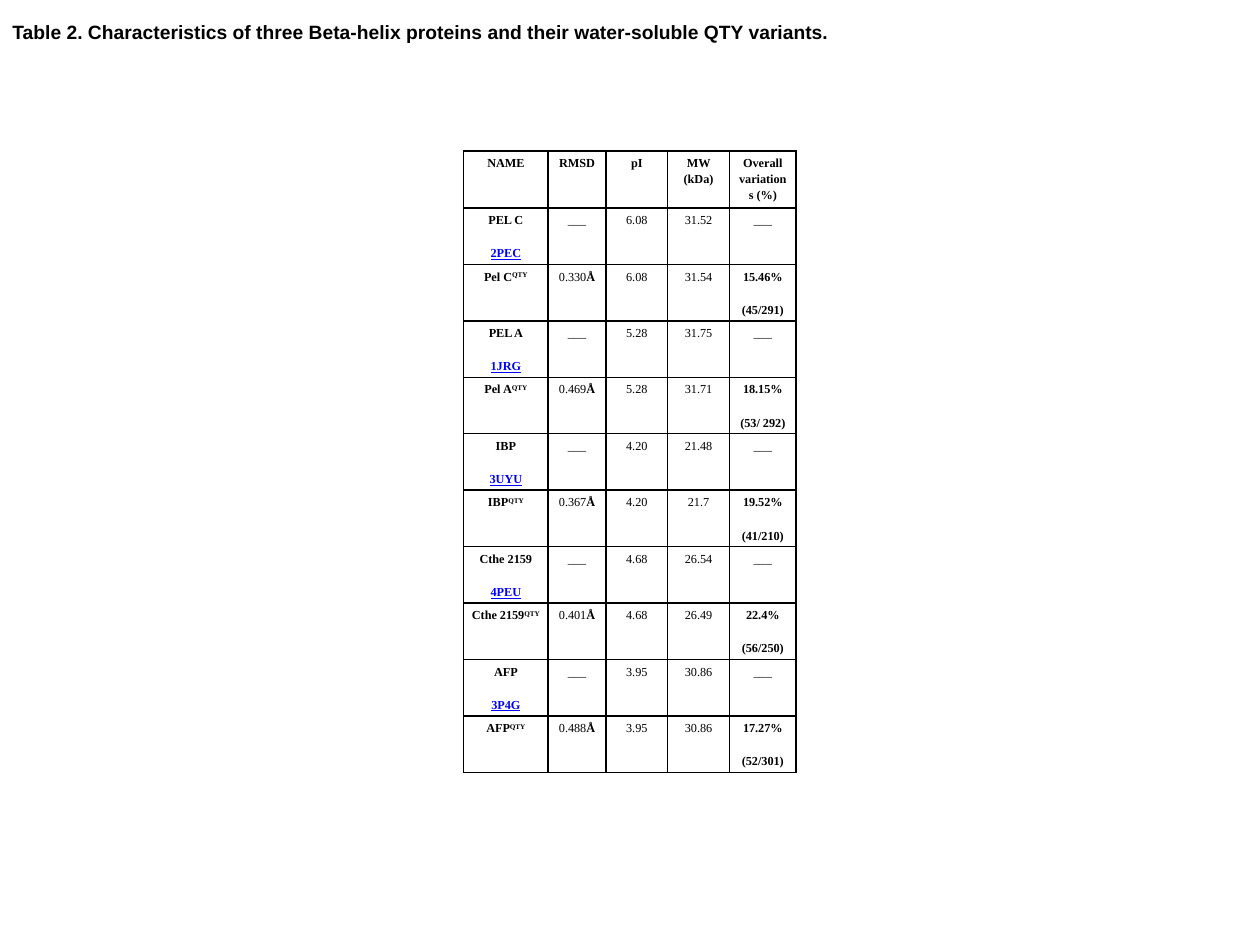
import pptx
import pptx.dml.color
import pptx.enum.text
import pptx.oxml
import pptx.oxml.ns
import pptx.util
from pptx.util import Inches, Pt

BLACK = pptx.dml.color.RGBColor(0x00, 0x00, 0x00)
WHITE = pptx.dml.color.RGBColor(0xFF, 0xFF, 0xFF)
LINK_BLUE = pptx.dml.color.RGBColor(0x00, 0x00, 0xFF)

TITLE = "Table 2. Characteristics of three Beta-helix proteins and their water-soluble QTY variants."
HEADINGS = ["NAME", "RMSD", "pI", "MW (kDa)", "Overall variations (%)"]
COLUMN_WIDTHS = [0.67, 0.46, 0.49, 0.49, 0.53]
HEADER_HEIGHT = 0.45
ROW_HEIGHT = 0.4
NO_VALUE = "___"

# Native name, code, variant name, pI, native MW, variant MW, RMSD, variation, changed residues
PROTEINS = [
    ("PEL C", "2PEC", "Pel C", "6.08", "31.52", "31.54", "0.330", "15.46%", "(45/291)"),
    ("PEL A", "1JRG", "Pel A", "5.28", "31.75", "31.71", "0.469", "18.15%", "(53/ 292)"),
    ("IBP", "3UYU", "IBP", "4.20", "21.48", "21.7", "0.367", "19.52%", "(41/210)"),
    ("Cthe 2159", "4PEU", "Cthe 2159", "4.68", "26.54", "26.49", "0.401", "22.4%", "(56/250)"),
    ("AFP", "3P4G", "AFP", "3.95", "30.86", "30.86", "0.488", "17.27%", "(52/301)"),
]


def set_font(para, name, size, bold):
    """Set the font shared by all runs of a paragraph."""
    para.font.name = name
    para.font.size = Pt(size)
    para.font.bold = bold
    para.font.color.rgb = BLACK


def add_title(slide):
    """Add the table caption across the top of the slide."""
    box = slide.shapes.add_textbox(0, 0, Inches(10), Inches(0.5))
    frame = box.text_frame
    frame.word_wrap = True
    frame.vertical_anchor = pptx.enum.text.MSO_ANCHOR.MIDDLE
    para = frame.paragraphs[0]
    para.text = TITLE
    set_font(para, "Arial", 11, True)


def add_border(cell):
    """Draw a thin black line on all four sides of a cell."""
    properties = cell._tc.get_or_add_tcPr()
    for index, side in enumerate(("lnL", "lnR", "lnT", "lnB")):
        line = pptx.oxml.parse_xml(
            f'<a:{side} {pptx.oxml.ns.nsdecls("a")} w="{Pt(1)}">'
            f'<a:solidFill><a:srgbClr val="{BLACK}"/></a:solidFill></a:{side}>'
        )
        properties.insert(index, line)


def add_paragraph(para, spans, bold):
    """Write (text, style) spans into a centred table paragraph."""
    para.alignment = pptx.enum.text.PP_ALIGN.CENTER
    para.line_spacing = 1.15
    para.space_after = Pt(10)
    set_font(para, "Times New Roman", 7, bold)
    for text, style in spans:
        span = para.add_run()
        span.text = text
        if style == "link":
            span.font.color.rgb = LINK_BLUE
            span.font.underline = True
        elif style == "superscript":
            span._r.get_or_add_rPr().set("baseline", "30000")
        elif style == "bold":
            span.font.bold = True


def fill_cell(cell, paragraphs, bold):
    """Fill a cell with paragraphs, each a list of spans."""
    cell.margin_left = cell.margin_right = Inches(0.06)
    cell.margin_top = cell.margin_bottom = Inches(0.03)
    cell.fill.solid()
    cell.fill.fore_color.rgb = WHITE
    add_border(cell)
    frame = cell.text_frame
    for index, spans in enumerate(paragraphs):
        para = frame.add_paragraph() if index else frame.paragraphs[0]
        add_paragraph(para, spans, bold)


def plain(*lines, bold=False):
    """Return the content of a cell whose lines have no special spans."""
    return [[(line, None)] for line in lines], bold


def protein_rows(native, code, variant, point, native_mass, variant_mass, rmsd, variation, residues):
    """Return the native row and the QTY variant row of one protein."""
    native_row = [
        ([[(native, None)], [(code, "link")]], True),
        plain(NO_VALUE), plain(point), plain(native_mass), plain(NO_VALUE),
    ]
    variant_row = [
        ([[(variant, None), ("QTY", "superscript")]], True),
        ([[(rmsd, None), ("Å", "bold")]], False),
        plain(point), plain(variant_mass), plain(variation, residues, bold=True),
    ]
    return [native_row, variant_row]


def add_protein_table(slide):
    """Add the table of native proteins and their variants."""
    rows = [[plain(heading, bold=True) for heading in HEADINGS]]
    for protein in PROTEINS:
        rows += protein_rows(*protein)
    heights = [HEADER_HEIGHT] + [ROW_HEIGHT] * (len(rows) - 1)
    table = slide.shapes.add_table(
        len(rows), len(HEADINGS), Inches(3.68), Inches(1.2),
        Inches(sum(COLUMN_WIDTHS)), Inches(sum(heights)),
    ).table
    for column, width in zip(table.columns, COLUMN_WIDTHS):
        column.width = Inches(width)
    for row, height, contents in zip(table.rows, heights, rows):
        row.height = Inches(height)
        for cell, (paragraphs, bold) in zip(row.cells, contents):
            fill_cell(cell, paragraphs, bold)


def main():
    """Build the slide and save the deck."""
    deck = pptx.Presentation()
    deck.slide_width, deck.slide_height = Inches(10), Inches(7.5)
    page = deck.slides.add_slide(deck.slide_layouts[6])
    add_protein_table(page)
    add_title(page)
    deck.save("out.pptx")


if __name__ == "__main__":
    main()
